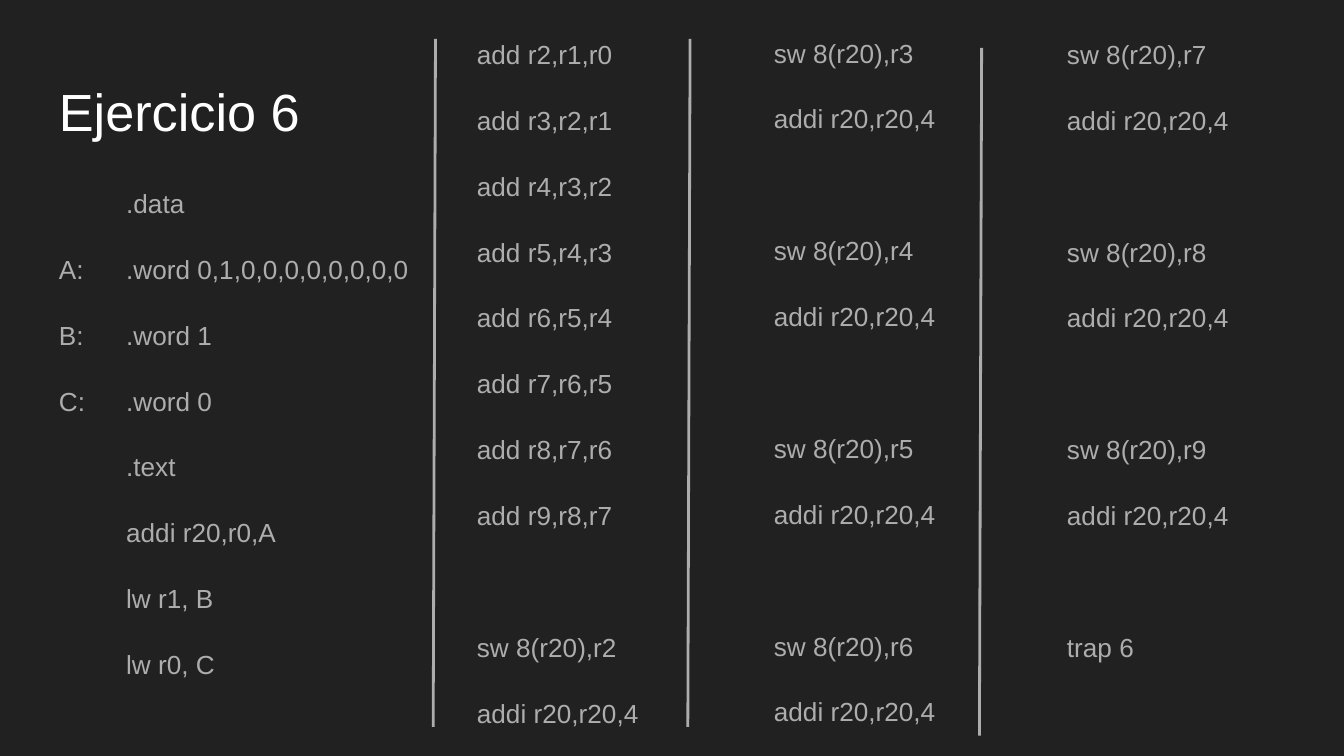
from lxml import etree
from pptx import Presentation
from pptx.dml.color import RGBColor
from pptx.enum.shapes import MSO_CONNECTOR
from pptx.oxml.ns import qn
from pptx.util import Pt

STRAIGHT = MSO_CONNECTOR.STRAIGHT
DARK = RGBColor(0x21, 0x21, 0x21)
WHITE = RGBColor(0xFF, 0xFF, 0xFF)
GRAY = RGBColor(0xAD, 0xAD, 0xAD)

GAP = Pt(16)
BREAK = Pt(51.3)  # one empty line between two gaps
STEP = "addi r20,r20,4"


class Deck:
    font = "Arial"
    frame = {"word_wrap": True, **{
        f"margin_{side}": Pt(7.2) for side in ("left", "top", "right", "bottom")}}

    def __init__(self, width, height):
        self.file = Presentation()
        self.file.slide_width, self.file.slide_height = Pt(width), Pt(height)
        self.slide = self.file.slides.add_slide(self.file.slide_layouts[6])
        fill = self.slide.background.fill
        fill.solid()
        fill.fore_color.rgb = DARK

    def text(self, box, groups, size=14, color=GRAY, leading=1.15):
        """Add a text box; groups of lines are set apart by a wide break."""
        frame = self.slide.shapes.add_textbox(*map(Pt, box)).text_frame
        for name, value in self.frame.items():
            setattr(frame, name, value)
        para = frame.paragraphs[0]
        before = Pt(0)
        for group in groups:
            for line in group:
                if before:
                    para = frame.add_paragraph()
                form = {"space_before": before, "line_spacing": leading}
                for name, value in form.items():
                    setattr(para, name, value)
                run = para.add_run()
                run.text = line
                for name, value in {"name": self.font, "size": Pt(size)}.items():
                    setattr(run.font, name, value)
                run.font.color.rgb = color
                before = GAP
            before = BREAK

    def rule(self, top, foot):
        line = self.slide.shapes.add_connector(STRAIGHT, *map(Pt, top + foot))
        line.line.width = Pt(1.5)
        line.line.color.rgb = GRAY
        etree.SubElement(line._element.spPr, qn("a:effectLst"))


def store(first, last):
    """Give one store-and-advance group for each register."""
    return [[f"sw 8(r20),r{reg}", STEP] for reg in range(first, last + 1)]


def main():
    deck = Deck(720, 405)
    deck.text((24.5, 35.3, 165, 45.4), [["Ejercicio 6"]], 28, WHITE, 1.0)

    setup = ["\t.data", "A:\t.word 0,1,0,0,0,0,0,0,0,0", "B:\t.word 1",
             "C:\t.word 0", "\t.text", "\taddi r20,r0,A", "\tlw r1, B",
             "\tlw r0, C"]
    sums = [f"add r{n},r{n - 1},r{n - 2}" for n in range(2, 10)]
    deck.text((24.5, 90.7, 215.3, 269.3), [setup])
    deck.text((248.4, 10.8, 111.6, 350), [sums] + store(2, 2))
    deck.text((407.5, 10.1, 117.4, 288), store(3, 6))
    deck.text((564.5, 10.8, 140.4, 383), store(7, 9) + [["trap 6"]])

    for left, top in ((233.3, 20.9), (369.7, 20.9), (525.9, 25.6)):
        deck.rule((left, top), (left - 1.2, top + 368.5))
    deck.file.save("out.pptx")


if __name__ == "__main__":
    main()
